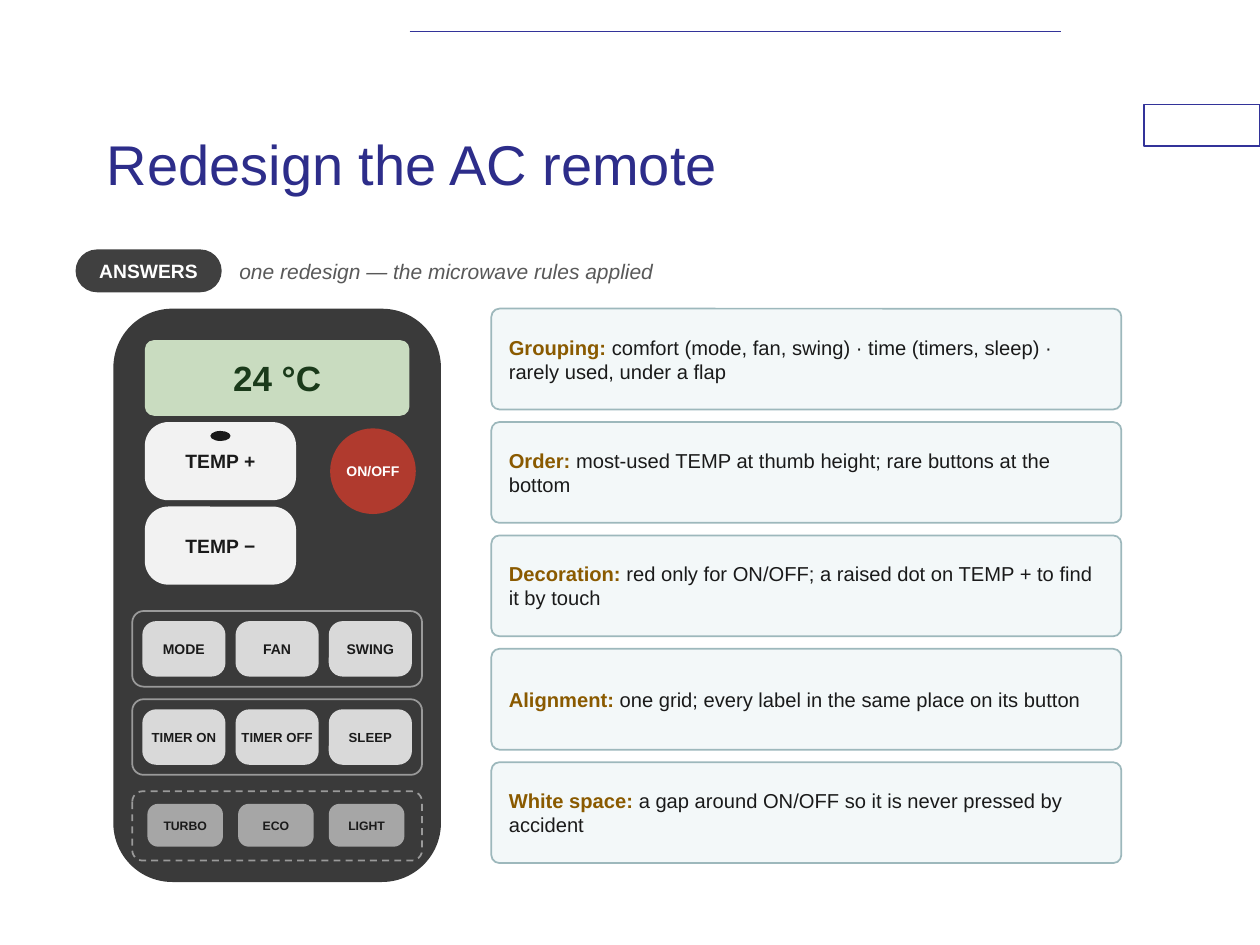
from pptx import Presentation
from pptx.dml.color import RGBColor
from pptx.enum.dml import MSO_LINE
from pptx.enum.shapes import MSO_CONNECTOR, MSO_SHAPE
from pptx.enum.text import MSO_ANCHOR, PP_ALIGN
from pptx.oxml.ns import qn
from pptx.util import Inches, Pt
from lxml import etree

RECTANGLE, ROUNDED, OVAL = MSO_SHAPE.RECTANGLE, MSO_SHAPE.ROUNDED_RECTANGLE, MSO_SHAPE.OVAL
STRAIGHT, DASH = MSO_CONNECTOR.STRAIGHT, MSO_LINE.DASH
LEFT, CENTER, MIDDLE = PP_ALIGN.LEFT, PP_ALIGN.CENTER, MSO_ANCHOR.MIDDLE

THEME = {
    "font": "Arial",
    "colors": {
        "white": "FFFFFF", "rule": "333399", "title": "2D2D8A",
        "badge": "404040", "subtitle": "595959",
        "body": "3A3A3A", "screen": "C9DCC0", "digits": "1A3A1A",
        "power": "B03A2E", "temp": "F2F2F2", "ink": "1A1A1A",
        "button": "D9D9D9", "rare": "A6A6A6", "frame": "9A9A9A",
        "card": "F3F8F9", "card_line": "9DB8BC", "keyword": "8A5A00",
    },
    "sizes": {
        "title": 32, "screen": 20, "subtitle": 12, "card": 11.5, "label": 11,
        "button": 8, "timer": 7.5, "rare": 7,
    },
}
COLORS = {name: RGBColor.from_string(code) for name, code in THEME["colors"].items()}
SIZES = THEME["sizes"]

# Grid of 100 columns by 75 rows
COLUMNS, ROWS = 100, 75
presentation = Presentation()
presentation.slide_width, presentation.slide_height = Inches(10), Inches(7.5)
CELL = presentation.slide_width / COLUMNS
slide = presentation.slides.add_slide(presentation.slide_layouts[6])


def add_box(column, row, columns, rows, kind=ROUNDED, corner=None,
            fill=None, line=None, weight=1, dash=None):
    """Add a preset shape in grid units; without a fill it is hollow."""
    shape = slide.shapes.add_shape(
        kind, *(round(value * CELL) for value in (column, row, columns, rows)))
    shape.shadow.inherit = False
    if corner is not None:
        shape.adjustments[0] = corner
    if fill:
        shape.fill.solid()
        shape.fill.fore_color.rgb = COLORS[fill]
    else:
        shape.fill.background()
    if line:
        shape.line.color.rgb = COLORS[line]
        shape.line.width = Pt(weight)
        if dash:
            shape.line.dash_style = dash
    else:
        shape.line.fill.background()
    return shape


def write(shape, text, size, color="ink", bold=False, italic=False,
          align=CENTER, inset=0.0, side_inset=None):
    """Append a run to the shape's only paragraph and format its frame."""
    frame = shape.text_frame
    frame.word_wrap = True
    frame.vertical_anchor = MIDDLE
    frame.margin_top = frame.margin_bottom = Inches(inset)
    frame.margin_left = frame.margin_right = Inches(inset if side_inset is None else side_inset)
    paragraph = frame.paragraphs[0]
    paragraph.alignment = align
    run = paragraph.add_run()
    run.text = text
    run.font.name = THEME["font"]
    run.font.size = Pt(SIZES[size])
    run.font.color.rgb = COLORS[color]
    run.font.bold, run.font.italic = bold, italic


# Page decoration
add_box(90.8, 8.3, 9.2, 3.3, RECTANGLE, fill="white", line="rule", weight=0.75)
top_rule = slide.shapes.add_connector(
    STRAIGHT, *(round(value * CELL) for value in (32.5, 2.5, 84.2, 2.5)))
top_rule.line.color.rgb = COLORS["rule"]
top_rule.line.width = Pt(1)
etree.SubElement(top_rule._element.spPr, qn("a:effectLst"))

# Title, badge and subtitle
title = slide.shapes.add_textbox(*(round(value * CELL) for value in (7.5, 6.7, 75, 12.5)))
write(title, "Redesign the AC remote", "title", "title", align=LEFT, inset=0.05, side_inset=0.1)
badge = add_box(6, 19.8, 11.6, 3.4, corner=0.5, fill="badge")
write(badge, "ANSWERS", "label", "white", bold=True, inset=0.03)
subtitle = slide.shapes.add_textbox(*(round(value * CELL) for value in (18.8, 19.8, 70.3, 3.4)))
write(subtitle, "one redesign — the microwave rules applied", "subtitle", "subtitle",
      italic=True, align=LEFT, inset=0.02)

# Remote: body, screen and power button
CONTENT_TOP = 24.5
add_box(9, CONTENT_TOP, 26, 45.5, corner=0.18, fill="body")
screen = add_box(11.5, 27, 21, 6, corner=0.12, fill="screen")
write(screen, "24 °C", "screen", "digits", bold=True, inset=0.04)
power = add_box(26.2, 34, 6.8, 6.8, OVAL, fill="power")
write(power, "ON/OFF", "button", "white", bold=True)

# Remote: temperature buttons, with the raised dot
for index, label in enumerate(("TEMP +", "TEMP −")):
    temperature = add_box(11.5, 33.5 + index * 6.7, 12, 6.2, corner=0.3, fill="temp")
    write(temperature, label, "label", bold=True, inset=0.04)
add_box(16.7, 34.2, 1.6, 0.8, OVAL, fill="ink")

# Remote: framed groups of three buttons
# frame row, frame rows, dash, first column, pitch, button row, columns, rows, fill, size, labels
BUTTON_GROUPS = [
    (48.5, 6, None, 11.3, 7.4, 49.3, 6.6, 4.4, "button", "button", ("MODE", "FAN", "SWING")),
    (55.5, 6, None, 11.3, 7.4, 56.3, 6.6, 4.4, "button", "timer",
     ("TIMER ON", "TIMER OFF", "SLEEP")),
    (62.8, 5.5, DASH, 11.7, 7.2, 63.8, 6, 3.4, "rare", "rare", ("TURBO", "ECO", "LIGHT")),
]
for (frame_row, frame_rows, dash, first, pitch, row,
     columns, rows, fill, size, labels) in BUTTON_GROUPS:
    add_box(10.5, frame_row, 23, frame_rows, corner=0.15, line="frame", dash=dash)
    for index, label in enumerate(labels):
        button = add_box(first + index * pitch, row, columns, rows, corner=0.25, fill=fill)
        write(button, label, size, bold=True, inset=0.01)

# Cards with the design rules
CARDS = [
    ("Grouping: ", "comfort (mode, fan, swing) · time (timers, sleep) · rarely used, under a flap"),
    ("Order: ", "most-used TEMP at thumb height; rare buttons at the bottom"),
    ("Decoration: ", "red only for ON/OFF; a raised dot on TEMP + to find it by touch"),
    ("Alignment: ", "one grid; every label in the same place on its button"),
    ("White space: ", "a gap around ON/OFF so it is never pressed by accident"),
]
for index, (keyword, explanation) in enumerate(CARDS):
    card = add_box(39, CONTENT_TOP + index * 9, 50, 8, corner=0.08, fill="card", line="card_line")
    write(card, keyword, "card", "keyword", bold=True, align=LEFT, inset=0.12)
    write(card, explanation, "card", align=LEFT, inset=0.12)

presentation.save("out.pptx")
